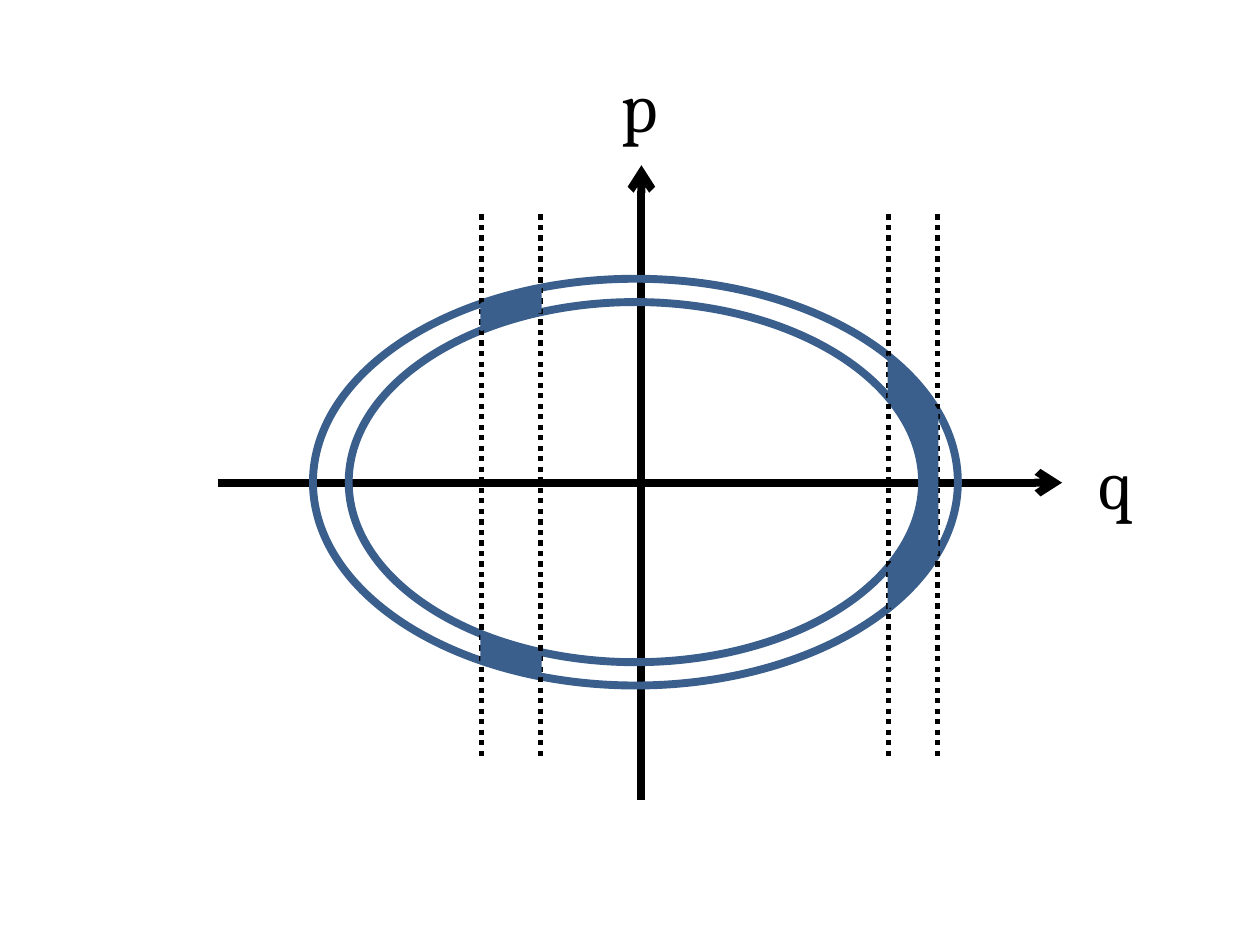
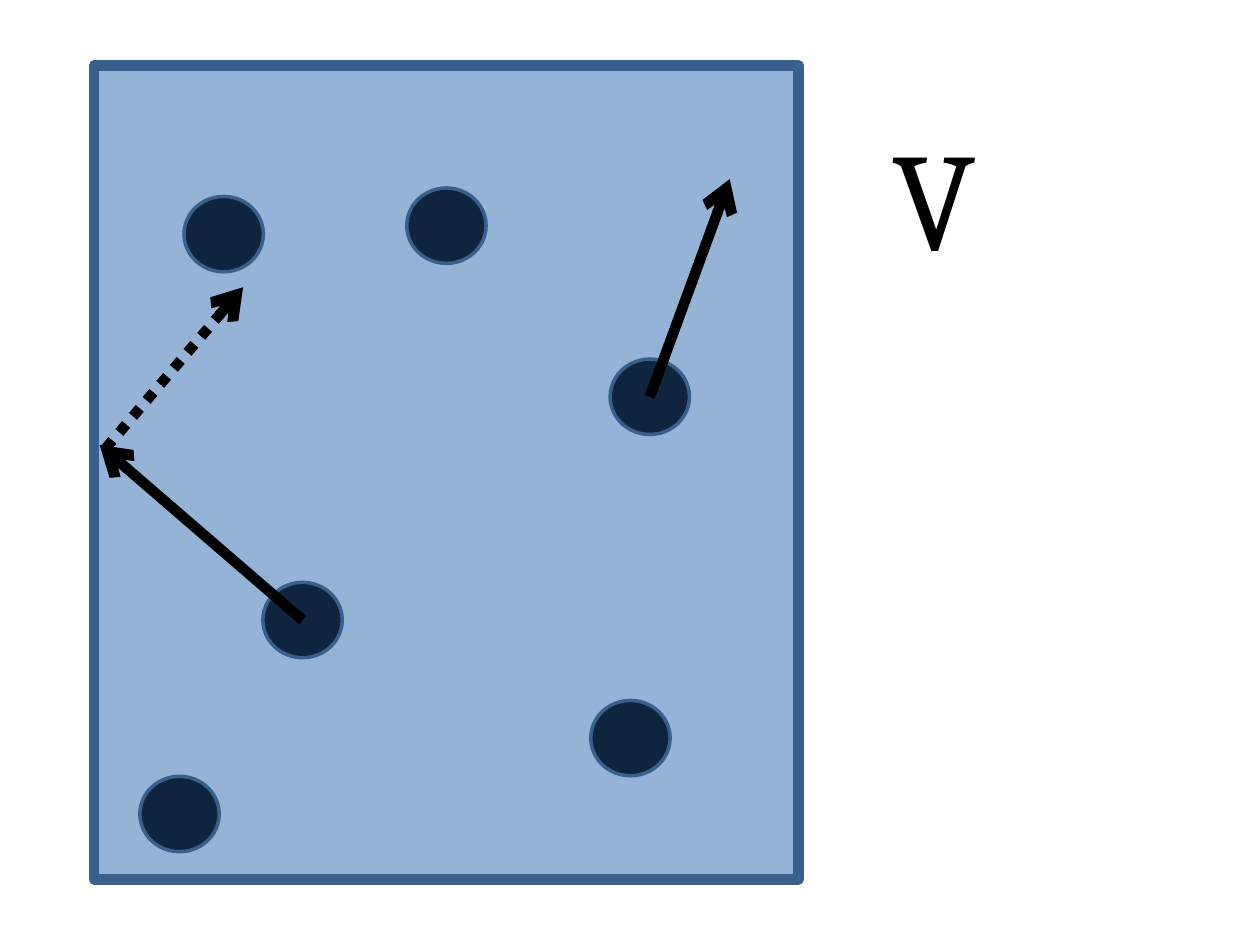
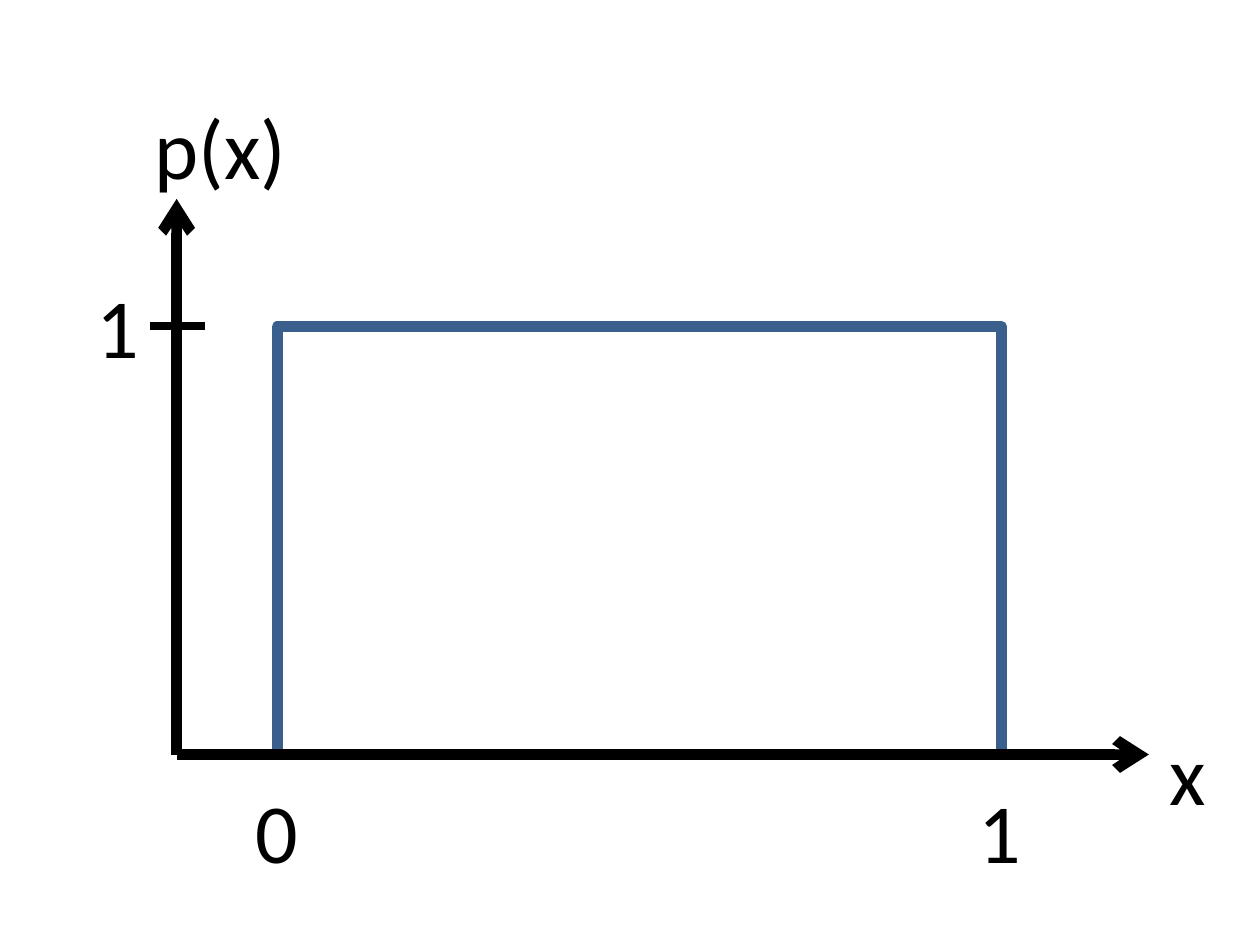
"""Build three physics sketches: a phase-space ring, a gas in a box and a uniform density."""
import math

from pptx import Presentation, util as u
from pptx.dml.color import RGBColor
from pptx.enum import dml, shapes, text
from pptx.oxml import parse_xml
from pptx.oxml.ns import nsdecls

BLACK, EDGE, GAS, NAVY = "000000", "3A5F8C", "95B3D7", "0F243E"
OVAL, RECT = shapes.MSO_SHAPE.OVAL, shapes.MSO_SHAPE.RECTANGLE
DOT = dml.MSO_LINE.ROUND_DOT


def style(item, fill, width):
    """Give a closed shape its fill and edge."""
    item.shadow.inherit = False
    if fill:
        item.fill.solid()
        item.fill.fore_color.rgb = RGBColor.from_string(fill)
    else:
        item.fill.background()
    item.line.color.rgb = RGBColor.from_string(EDGE)
    item.line.width = u.Pt(width)


def wire(slide, start, end, width, dash=None, arrow=False):
    """Draw a black straight line, dashed or with an arrowhead on demand."""
    item = slide.shapes.add_connector(
        shapes.MSO_CONNECTOR.STRAIGHT, *(u.Cm(v) for v in (*start, *end)))
    item.line.color.rgb = RGBColor.from_string(BLACK)
    item.line.width = u.Pt(width)
    if dash:
        item.line.dash_style = dash
    if arrow:
        item.line._get_or_add_ln().append(
            parse_xml(f'<a:tailEnd {nsdecls("a")} type="arrow"/>'))
    item._element.spPr.append(parse_xml(f'<a:effectLst {nsdecls("a")}/>'))


deck = Presentation()
deck.slide_width, deck.slide_height = u.Cm(25.4), u.Cm(19.05)
ring, box, plot = [deck.slides.add_slide(deck.slide_layouts[6]) for _ in range(3)]

midx, midy = 12.81, 9.72
radii = [(6.5, 4.1), (5.78, 3.63)]
wire(ring, (4.39, 9.73), (21.41, 9.73), 4.5, arrow=True)
wire(ring, (12.93, 16.13), (12.93, 3.33), 4.5, arrow=True)
for rx, ry in radii:
    oval = ring.shapes.add_shape(
        OVAL, *(u.Cm(v) for v in (midx - rx, midy - ry, 2 * rx, 2 * ry)))
    style(oval, None, 4.5)

steps = 12
for left, right in [(9.7, 10.9), (17.91, 18.9)]:
    for x in (left, right):
        wire(ring, (x, 4.32), (x, 15.32), 3, DOT)
    for side in (-1, 1):
        arcs = []
        for rx, ry in radii:
            first, last = [math.acos(min(1, (x - midx) / rx)) for x in (left, right)]
            turns = [first + (last - first) * i / steps for i in range(steps + 1)]
            arcs.append([(midx + rx * math.cos(t), midy + side * ry * math.sin(t))
                         for t in turns])
        outer, inner = arcs
        corner = [(right, midy)] if right > midx + radii[1][0] else []
        points = [(u.Cm(x), u.Cm(y)) for x, y in outer + corner + inner[::-1]]
        path = ring.shapes.build_freeform(*points[0])
        path.add_line_segments(points[1:])
        style(path.convert_to_shape(), EDGE, 1)

wall = box.shapes.add_shape(RECT, *(u.Cm(v) for v in (1.9, 1.32, 14.2, 16.41)))
style(wall, GAS, 6)
wide, high = 1.6, 1.52
balls = [(6.1, 12.5), (4.51, 4.72), (9, 4.55), (12.71, 14.88), (13.1, 8), (3.62, 16.41)]
for x, y in balls:
    ball = box.shapes.add_shape(
        OVAL, *(u.Cm(v) for v in (x - wide / 2, y - high / 2, wide, high)))
    style(ball, NAVY, 2)
wire(box, balls[0], (2.01, 8.97), 6, arrow=True)
wire(box, (2.13, 9.04), (4.9, 5.79), 6, DOT, True)
wire(box, balls[4], (14.71, 3.61), 6, arrow=True)

zero, base, top = 3.56, 15.21, 6.58
wire(plot, (zero, base), (zero, 4.01), 6, arrow=True)
curve = plot.shapes.add_shape(RECT, *(u.Cm(v) for v in (5.59, top, 14.6, base - top)))
style(curve, None, 6)
wire(plot, (zero, base), (23.16, base), 6, arrow=True)
wire(plot, (3.02, top), (4.14, top), 4.5)

labels = [
    (ring, "q", 21.89, 8.74, 1.27, 1.96, 40, "Cambria"),
    (ring, "p", 12.27, 1.14, 1.3, 1.96, 40, "Cambria"),
    (box, "V", 17.75, 2.13, 2.64, 3.68, 80, "Cambria"),
    (plot, "p(x)", 2.87, 1.8, 3.18, 2.31, 48, "Calibri"),
    (plot, "1", 1.7, 5.41, 1.37, 2.31, 48, "Calibri"),
    (plot, "0", 4.9, 15.6, 1.37, 2.31, 48, "Calibri"),
    (plot, "1", 19.48, 15.6, 1.37, 2.31, 48, "Calibri"),
    (plot, "x", 23.32, 14.43, 1.24, 2.31, 48, "Calibri"),
]
for slide, words, x, y, w, h, size, face in labels:
    frame = slide.shapes.add_textbox(*(u.Cm(v) for v in (x, y, w, h))).text_frame
    frame.word_wrap = False
    frame.auto_size = text.MSO_AUTO_SIZE.SHAPE_TO_FIT_TEXT
    run = frame.paragraphs[0].add_run()
    run.text = words
    for key, value in {"size": u.Pt(size), "name": face}.items():
        setattr(run.font, key, value)
    run.font.color.rgb = RGBColor.from_string(BLACK)

deck.save("out.pptx")
